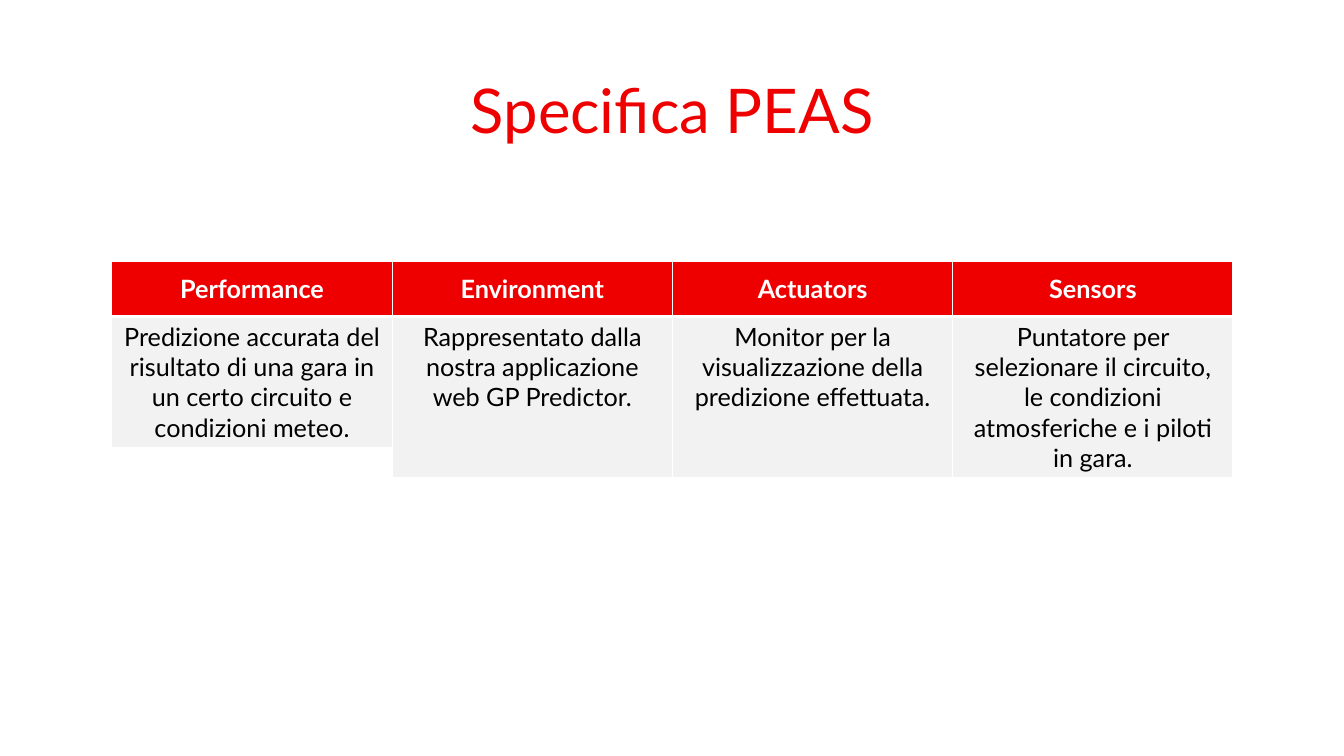
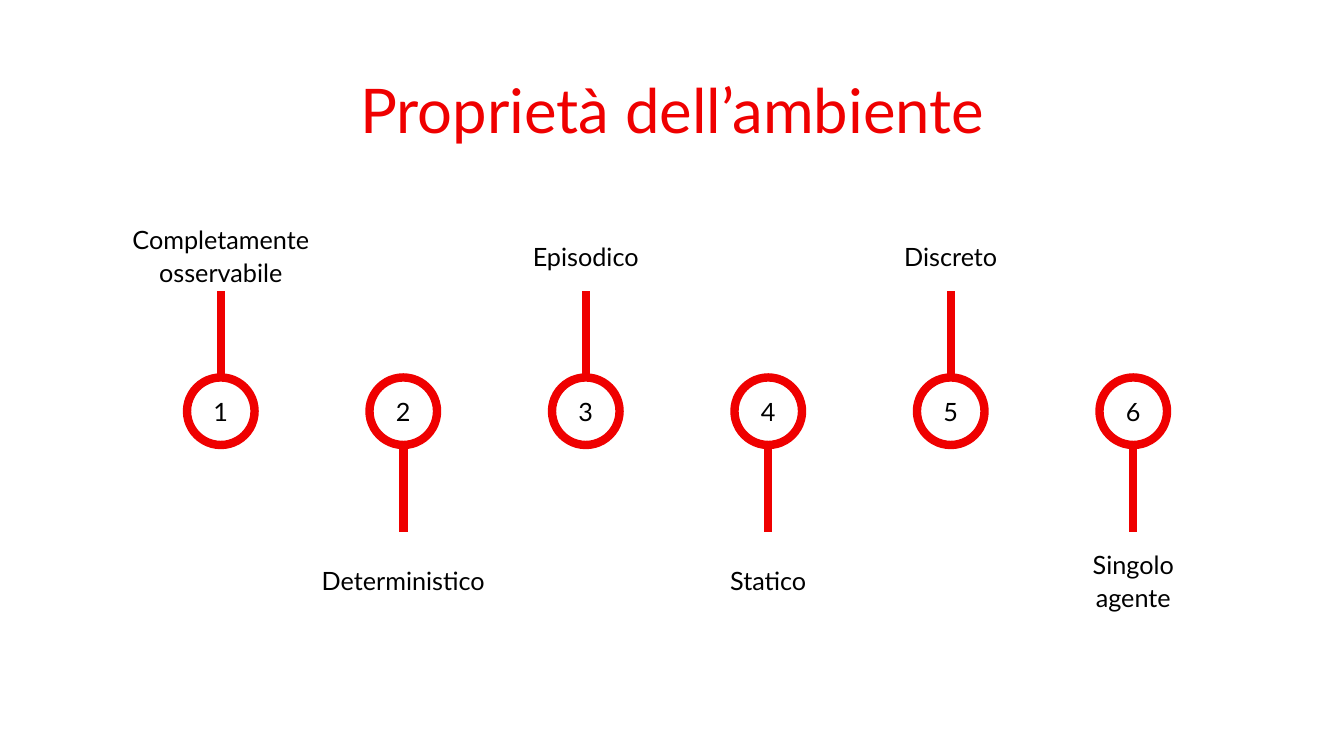
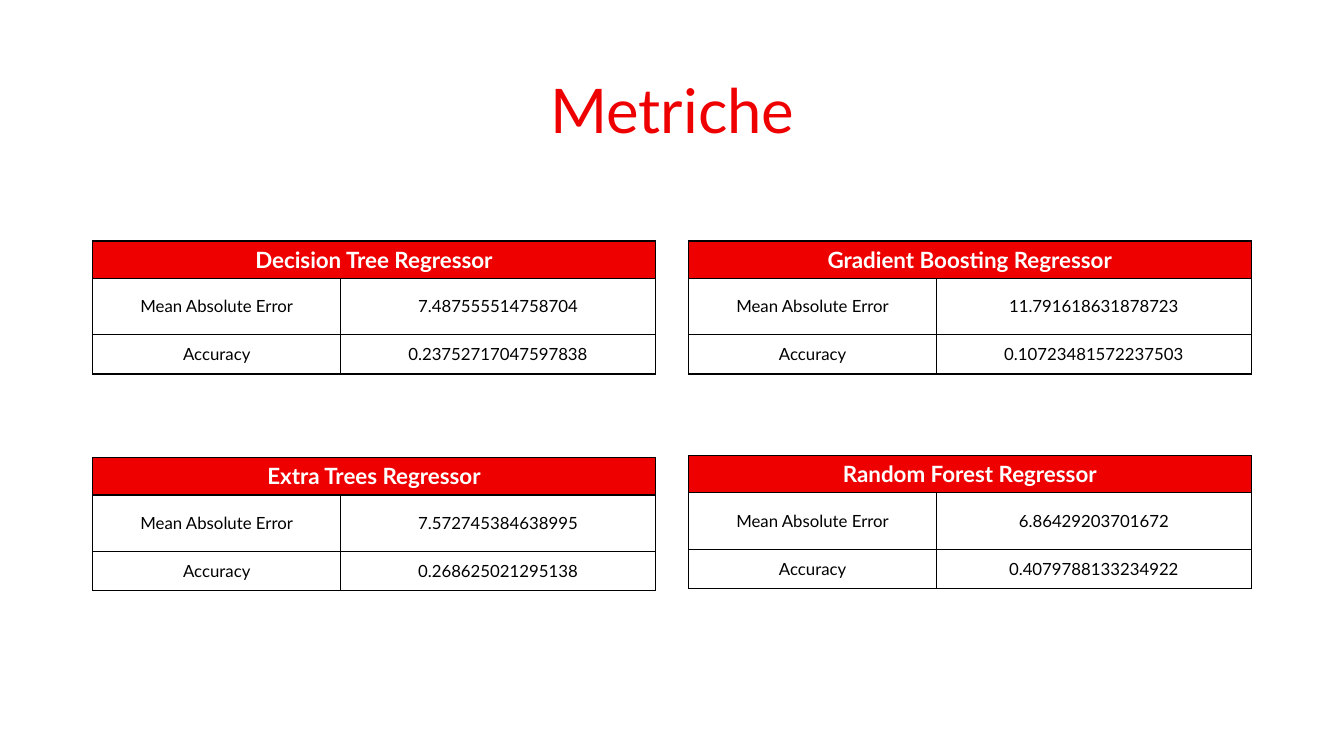
from dataclasses import dataclass

import pptx
import pptx.dml.color
import pptx.enum.shapes
import pptx.enum.text
import pptx.oxml
import pptx.oxml.ns
import pptx.util
from lxml import etree

Inches = pptx.util.Inches
Pt = pptx.util.Pt
Anchor = pptx.enum.text.MSO_ANCHOR


@dataclass(frozen=True)
class Theme:
    font: str = "Lato"
    red: str = "EF0000"
    white: str = "FFFFFF"
    black: str = "000000"
    grey: str = "F2F2F2"
    title_size: int = 44
    body_size: int = 18
    head_size: int = 16
    small_size: int = 12
    stroke: int = 6


@dataclass(frozen=True)
class Borders:
    color: str
    left: float = 1
    right: float = 1
    top: float = 1
    bottom: float = 1


@dataclass(frozen=True)
class PeasColumn:
    head: str
    body: str
    body_height: float = 1.6


@dataclass(frozen=True)
class Metric:
    model: str
    left: float
    top: float
    error: str
    accuracy: str


THEME = Theme()

PEAS = [
    PeasColumn("Performance", "Predizione accurata del risultato di una gara in "
               "un certo circuito e condizioni meteo.", 1.3),
    PeasColumn("Environment", "Rappresentato dalla nostra applicazione web GP Predictor."),
    PeasColumn("Actuators", "Monitor per la visualizzazione della predizione effettuata."),
    PeasColumn("Sensors", "Puntatore per selezionare il circuito, le condizioni "
               "atmosferiche e i piloti in gara."),
]

PROPERTIES = [
    ["Completamente", "osservabile"],
    ["Deterministico"],
    ["Episodico"],
    ["Statico"],
    ["Discreto"],
    ["Singolo", "agente"],
]

METRICS = [
    Metric("Decision Tree Regressor", 0.92, 2.39, "7.487555514758704", "0.23752717047597838"),
    Metric("Gradient Boosting Regressor", 6.83, 2.39, "11.791618631878723", "0.10723481572237503"),
    Metric("Random Forest Regressor", 6.83, 4.52, "6.86429203701672", "0.4079788133234922"),
    Metric("Extra Trees Regressor", 0.92, 4.54, "7.572745384638995", "0.268625021295138"),
]


def rgb(color: str) -> pptx.dml.color.RGBColor:
    return pptx.dml.color.RGBColor.from_string(color)


# Text
def write(tf, lines: list[str], size: float, color: str, bold: bool = False,
          spacing: float = 1.0) -> None:
    for i, line in enumerate(lines):
        p = tf.add_paragraph() if i else tf.paragraphs[0]
        p.alignment = pptx.enum.text.PP_ALIGN.CENTER
        p.line_spacing = spacing
        r = p.add_run()
        r.text = line
        r.font.name = THEME.font
        r.font.size = Pt(size)
        r.font.bold = bold
        r.font.color.rgb = rgb(color)


def set_frame(tf, inset: float = 0) -> None:
    tf.word_wrap = True
    tf.vertical_anchor = Anchor.MIDDLE
    tf.margin_left = tf.margin_right = Inches(inset)
    tf.margin_top = tf.margin_bottom = Inches(inset / 2)


def add_text(slide, left: float, top: float, width: float, height: float,
             lines: list[str], size: float, color: str, spacing: float,
             inset: float = 0) -> None:
    sp = slide.shapes.add_textbox(Inches(left), Inches(top), Inches(width), Inches(height))
    set_frame(sp.text_frame, inset)
    write(sp.text_frame, lines, size, color, spacing=spacing)


def add_slide(prs, title: str):
    slide = prs.slides.add_slide(prs.slide_layouts[6])
    add_text(slide, 0.92, 0.4, 11.5, 1.45, [title], THEME.title_size, THEME.red, 0.9, 0.1)
    return slide


# Tables
def add_table(slide, left: float, top: float, cols: list[float], rows: list[float]):
    table = slide.shapes.add_table(
        len(rows), len(cols), Inches(left), Inches(top),
        Inches(sum(cols)), Inches(sum(rows))).table
    table.first_row = table.horz_banding = False
    for col, width in zip(table.columns, cols):
        col.width = Inches(width)
    for row, height in zip(table.rows, rows):
        row.height = Inches(height)
    return table


def style_cell(cell, fill: str, borders: Borders, anchor=Anchor.MIDDLE) -> None:
    tc_pr = cell._tc.get_or_add_tcPr()
    qn = pptx.oxml.ns.qn
    for tag, width in (("a:lnL", borders.left), ("a:lnR", borders.right),
                       ("a:lnT", borders.top), ("a:lnB", borders.bottom)):
        ln = etree.SubElement(tc_pr, qn(tag), w=str(Pt(width)))
        solid = etree.SubElement(ln, qn("a:solidFill"))
        etree.SubElement(solid, qn("a:srgbClr"), val=borders.color)
    cell.fill.solid()
    cell.fill.fore_color.rgb = rgb(fill)
    cell.vertical_anchor = anchor


def add_peas_column(slide, column: PeasColumn, left: float, width: float) -> None:
    table = add_table(slide, left, 2.59, [width], [0.55, column.body_height])
    head, body = table.cell(0, 0), table.cell(1, 0)
    style_cell(head, THEME.red, Borders(THEME.white, bottom=3))
    write(head.text_frame, [column.head], THEME.body_size, THEME.white, bold=True)
    style_cell(body, THEME.grey, Borders(THEME.white, top=3), Anchor.TOP)
    write(body.text_frame, [column.body], THEME.body_size, THEME.black)


def add_metric(slide, metric: Metric) -> None:
    table = add_table(slide, metric.left, metric.top, [2.46, 3.12], [0.37, 0.56, 0.39])
    for i, row in enumerate(table.rows):
        for cell in row.cells:
            style_cell(cell, THEME.white if i else THEME.red, Borders(THEME.black))
    head = table.cell(0, 0)
    head.merge(table.cell(0, 1))
    write(head.text_frame, [metric.model], THEME.head_size, THEME.white, bold=True)
    values = [("Mean Absolute Error", metric.error), ("Accuracy", metric.accuracy)]
    for i, pair in enumerate(values, start=1):
        for j, text in enumerate(pair):
            write(table.cell(i, j).text_frame, [text], THEME.small_size, THEME.black)


# Numbered pins, with labels above and below in turn
def add_pin(slide, number: int, label: list[str], x: float, above: bool) -> None:
    size, middle, stem, label_w, label_h = 0.67, 4.08, 0.86, 3.63, 0.73
    sp = slide.shapes.add_shape(
        pptx.enum.shapes.MSO_SHAPE.OVAL, Inches(x - size / 2),
        Inches(middle - size / 2), Inches(size), Inches(size))
    sp.shadow.inherit = False
    sp.fill.solid()
    sp.fill.fore_color.rgb = rgb(THEME.white)
    sp.line.color.rgb = rgb(THEME.red)
    sp.line.width = Pt(THEME.stroke)
    set_frame(sp.text_frame)
    write(sp.text_frame, [str(number)], THEME.body_size, THEME.black)

    side = -1 if above else 1
    start = middle + side * size / 2
    line = slide.shapes.add_connector(
        pptx.enum.shapes.MSO_CONNECTOR.STRAIGHT, Inches(x), Inches(start),
        Inches(x), Inches(start + side * stem))
    line.line.color.rgb = rgb(THEME.red)
    line.line.width = Pt(THEME.stroke)
    etree.SubElement(line._element.spPr, pptx.oxml.ns.qn("a:effectLst"))

    label_top = 2.16 if above else 5.38
    add_text(slide, x - label_w / 2, label_top, label_w, label_h, label,
             THEME.body_size, THEME.black, 1.1)


def main() -> None:
    prs = pptx.Presentation()
    prs.slide_width, prs.slide_height = Inches(13.33), Inches(7.5)

    # PEAS specification
    slide = add_slide(prs, "Specifica PEAS")
    width = 2.78
    for i, column in enumerate(PEAS):
        add_peas_column(slide, column, 1.11 + i * width, width)

    # Environment properties
    slide = add_slide(prs, "Proprietà dell’ambiente")
    for i, label in enumerate(PROPERTIES):
        add_pin(slide, i + 1, label, 2.19 + i * 1.81, above=i % 2 == 0)

    # Model metrics
    slide = add_slide(prs, "Metriche")
    for metric in METRICS:
        add_metric(slide, metric)

    prs.save("out.pptx")


if __name__ == "__main__":
    main()
